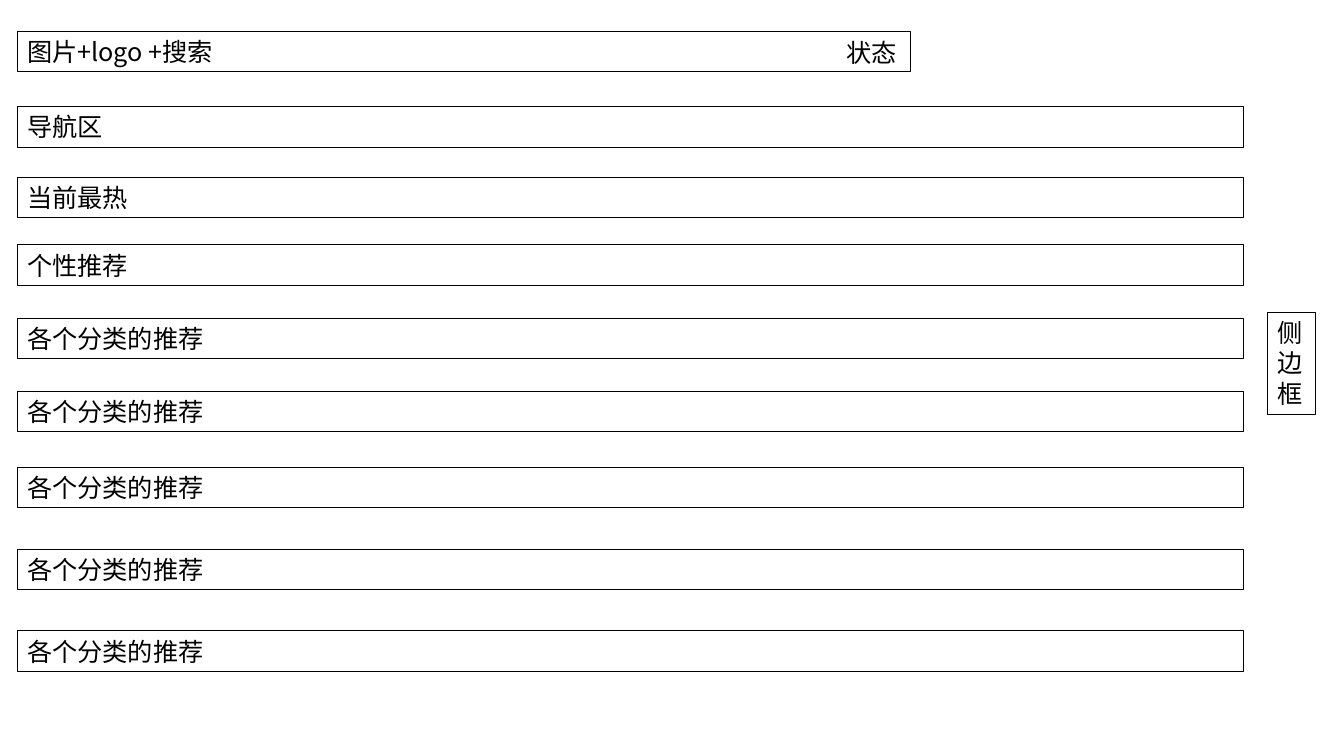
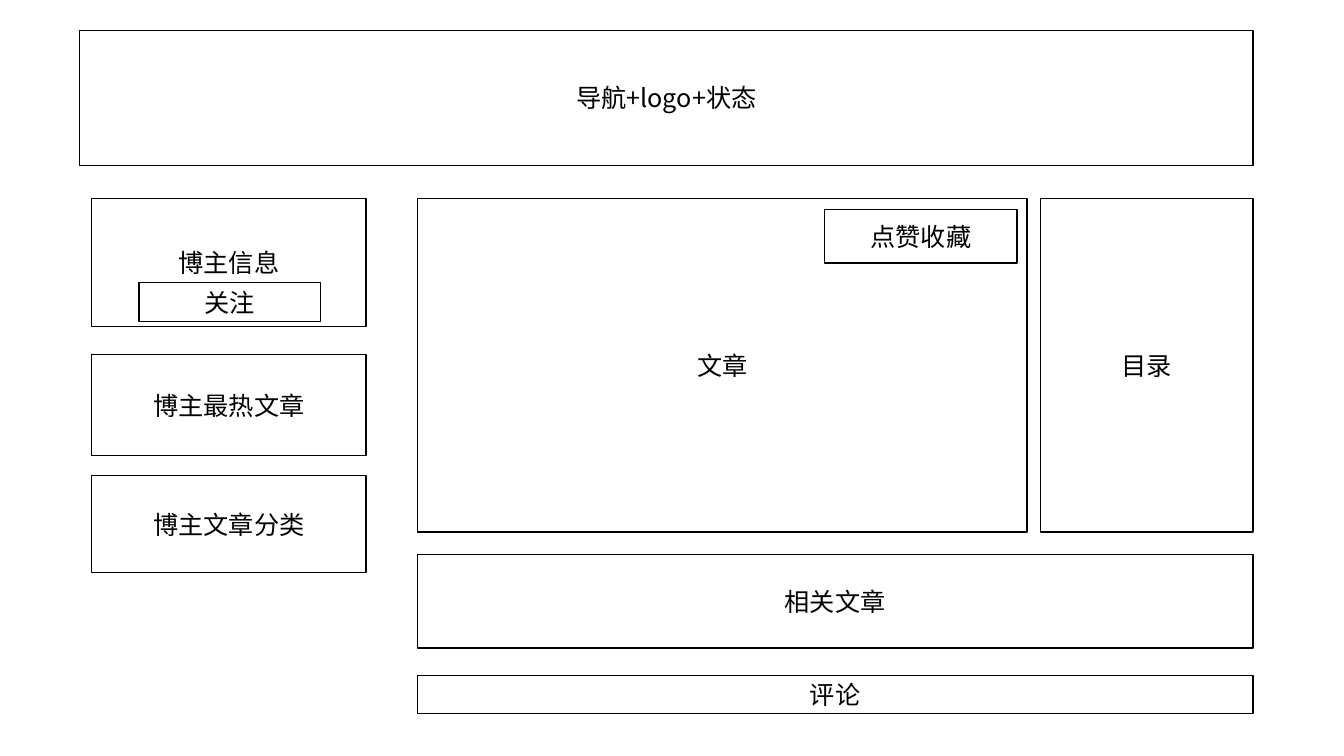
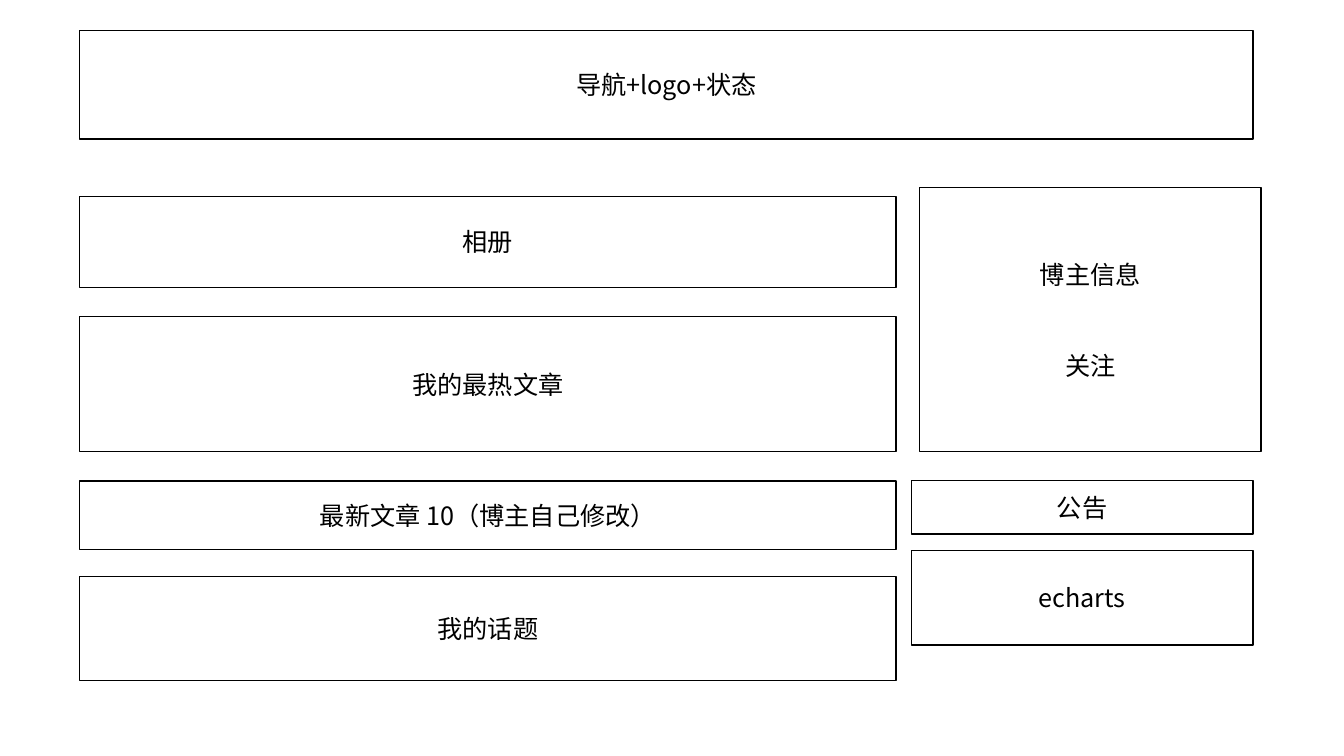
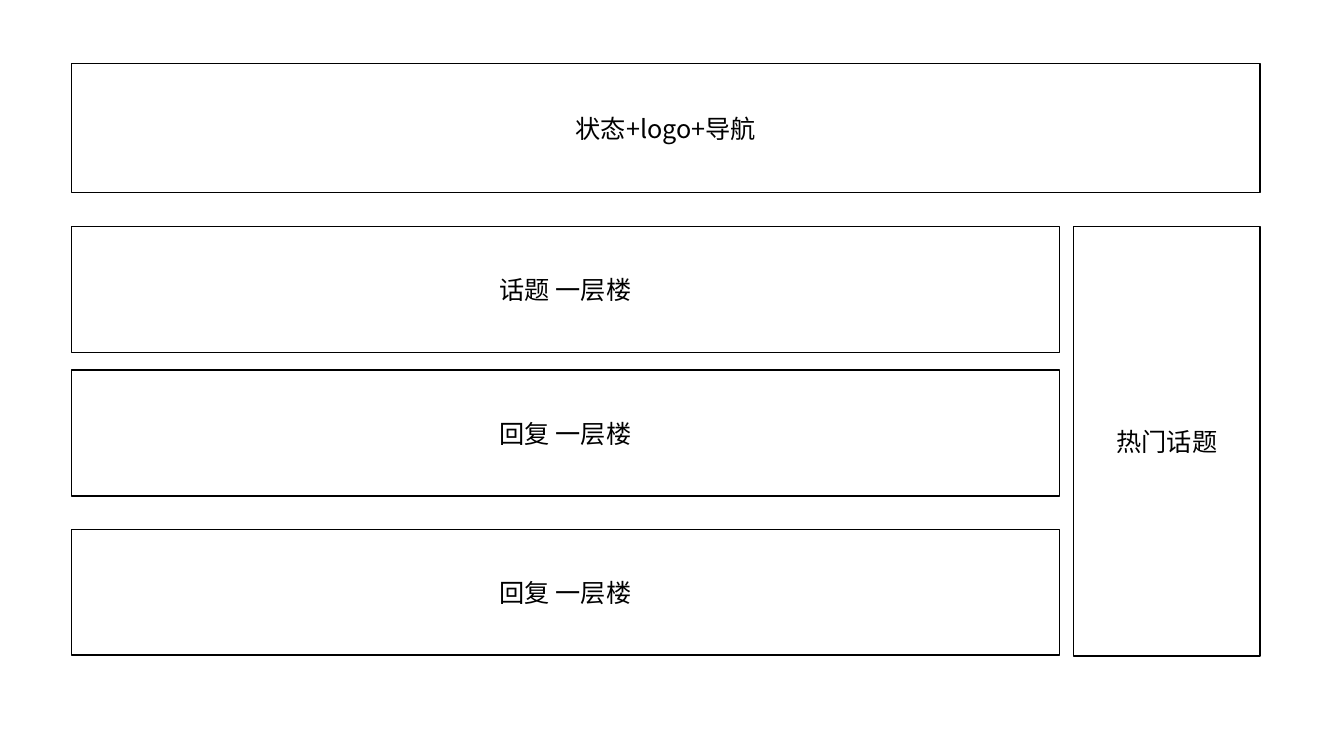
"""Build four page wireframes for a blog site."""
from dataclasses import dataclass
from typing import NamedTuple

from lxml.etree import SubElement
from pptx import Presentation
from pptx.dml.color import RGBColor
from pptx.enum.shapes import MSO_SHAPE
from pptx.enum.text import MSO_ANCHOR, MSO_AUTO_SIZE, PP_ALIGN
from pptx.oxml.ns import qn
from pptx.slide import Slide
from pptx.util import Inches, Pt


@dataclass(frozen=True)
class Theme:
    ink: RGBColor = RGBColor(0, 0, 0)
    paper: RGBColor = RGBColor(255, 255, 255)
    font: str = "Noto Sans CJK SC"
    size: float = 18
    gap: float = 43.5
    cell: float = 0.1
    cols: float = 133.33
    rows: float = 75


class Style(NamedTuple):
    line: float
    fill: bool
    align: PP_ALIGN
    frame: dict


class Box(NamedTuple):
    text: str
    col: float
    row: float
    wide: float
    high: float


class Page(NamedTuple):
    style: Style
    boxes: list[Box]


THEME = Theme()
STRIP = Style(0.75, False, PP_ALIGN.LEFT, {
    "word_wrap": True,
    "vertical_anchor": MSO_ANCHOR.TOP,
    "auto_size": MSO_AUTO_SIZE.SHAPE_TO_FIT_TEXT,
})
PANEL = Style(1, True, PP_ALIGN.CENTER, {
    "word_wrap": True,
    "vertical_anchor": MSO_ANCHOR.MIDDLE,
})
LABEL = STRIP._replace(line=0)


def stack(col: float, wide: float, items: list[tuple[str, float, float]]) -> list[Box]:
    """Place boxes of one width in one column."""
    return [Box(text, col, row, wide, high) for text, row, high in items]


def strips() -> list[Box]:
    """List the full-width strips of the home page."""
    names = ["导航区", "当前最热", "个性推荐"] + ["各个分类的推荐"] * 5
    tops = [10.6, 17.6, 24.3, 31.6, 38.8, 46.4, 54.5, 62.6]
    return stack(1.7, 121.7, [(name, top, 4) for name, top in zip(names, tops)])


HOME = Page(STRIP, [
    Box("图片+logo +搜索", 1.7, 3.1, 88.6, 4),
    *strips(),
    Box("侧边框", 125.7, 31, 4.8, 10.1),
])
POST = Page(PANEL, [
    Box("导航+logo+状态", 7.9, 3, 116.4, 13.4),
    *stack(9.1, 27.2, [
        ("博主信息", 19.7, 12.7),
        ("博主最热文章", 35.2, 10),
        ("博主文章分类", 47.2, 9.6),
    ]),
    Box("文章", 41.4, 19.7, 60.5, 33.1),
    Box("目录", 103.2, 19.7, 21.1, 33.1),
    *stack(41.4, 82.9, [("相关文章", 55, 9.3), ("评论", 67, 3.8)]),
    Box("点赞收藏", 81.8, 20.8, 19.1, 5.3),
    Box("关注", 13.8, 28, 18, 3.9),
])
BLOG = Page(PANEL, [
    Box("导航+logo+状态", 7.9, 3, 116.4, 10.8),
    *stack(7.9, 81, [
        ("相册", 19.5, 9),
        ("我的最热文章", 31.4, 13.4),
        ("最新文章 10（博主自己修改）", 47.7, 6.8),
        ("我的话题", 57.2, 10.3),
    ]),
    Box("博主信息\n关注", 91.2, 18.6, 33.9, 26.2),
    *stack(90.4, 33.9, [("公告", 47.7, 5.3), ("echarts", 54.6, 9.4)]),
])
TOPIC = Page(PANEL, [
    Box("状态+logo+导航", 7.1, 6.3, 117.9, 12.8),
    *stack(7.1, 98, [
        ("话题 一层楼", 22.5, 12.5),
        ("回复 一层楼", 36.7, 12.5),
        ("回复 一层楼", 52.5, 12.5),
    ]),
    Box("热门话题", 106.5, 22.5, 18.5, 42.6),
])


def span(cells: float) -> int:
    """Turn grid cells into a slide length."""
    return Inches(cells * THEME.cell)


def draw(slide: Slide, box: Box, style: Style) -> None:
    """Draw one box with its text."""
    place = [span(cells) for cells in box[1:]]
    if style.line:
        shape = slide.shapes.add_shape(MSO_SHAPE.RECTANGLE, *place)
        shape.shadow.inherit = False
        shape.line.color.rgb = THEME.ink
        shape.line.width = Pt(style.line)
    else:
        shape = slide.shapes.add_textbox(*place)
    if style.fill:
        shape.fill.solid()
        shape.fill.fore_color.rgb = THEME.paper
    else:
        shape.fill.background()
    frame = shape.text_frame
    frame.text = box.text
    for name, value in style.frame.items():
        setattr(frame, name, value)
    for rank, para in enumerate(frame.paragraphs):
        para.alignment = style.align
        para.space_before = Pt(THEME.gap * rank)
        for run in para.runs:
            font = run.font
            for name, value in {"name": THEME.font, "size": Pt(THEME.size)}.items():
                setattr(font, name, value)
            font.color.rgb = THEME.ink
            SubElement(run._r.get_or_add_rPr(), qn("a:ea"), typeface=THEME.font)


def main() -> None:
    """Build and save the deck."""
    deck = Presentation()
    deck.slide_width, deck.slide_height = span(THEME.cols), span(THEME.rows)
    for page in (HOME, POST, BLOG, TOPIC):
        slide = deck.slides.add_slide(deck.slide_layouts[6])
        for box in page.boxes:
            draw(slide, box, page.style)
        if page is HOME:
            draw(slide, Box("状态", 83, 3.2, 40.4, 4), LABEL)
    deck.save("out.pptx")


if __name__ == "__main__":
    main()
